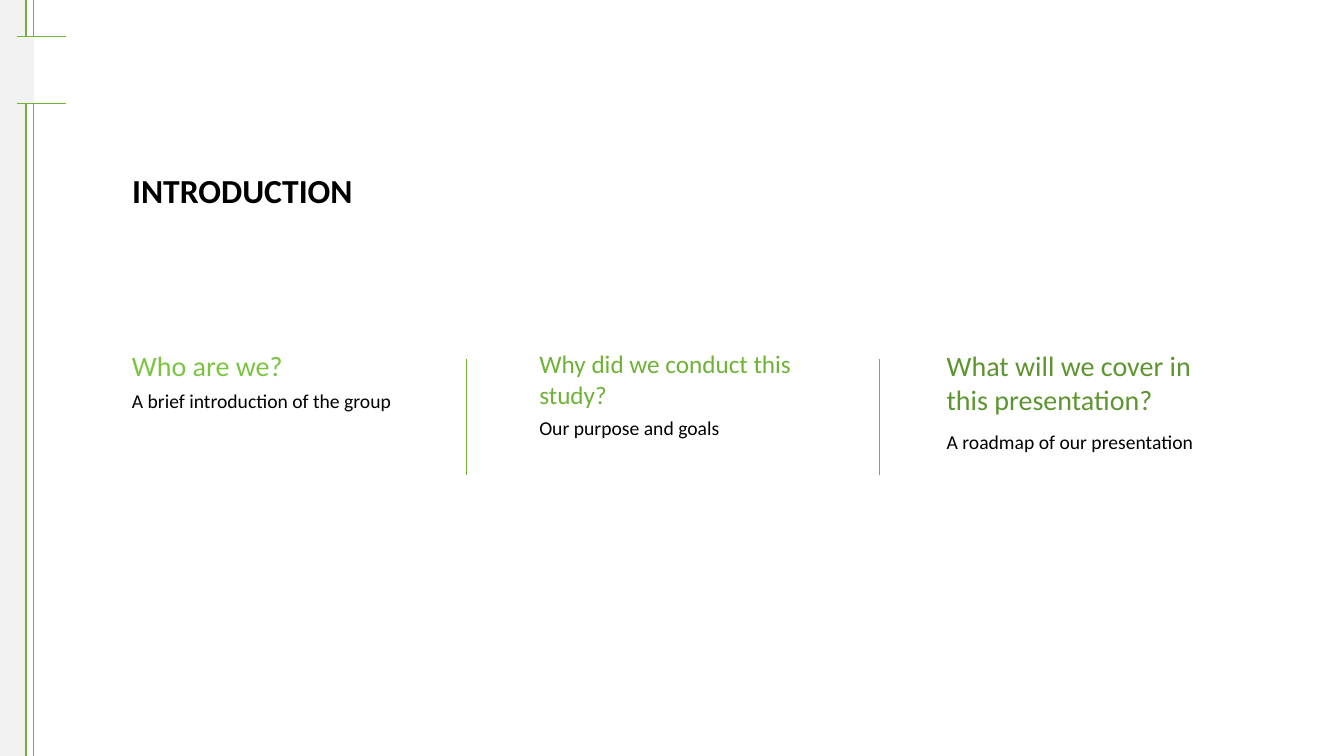
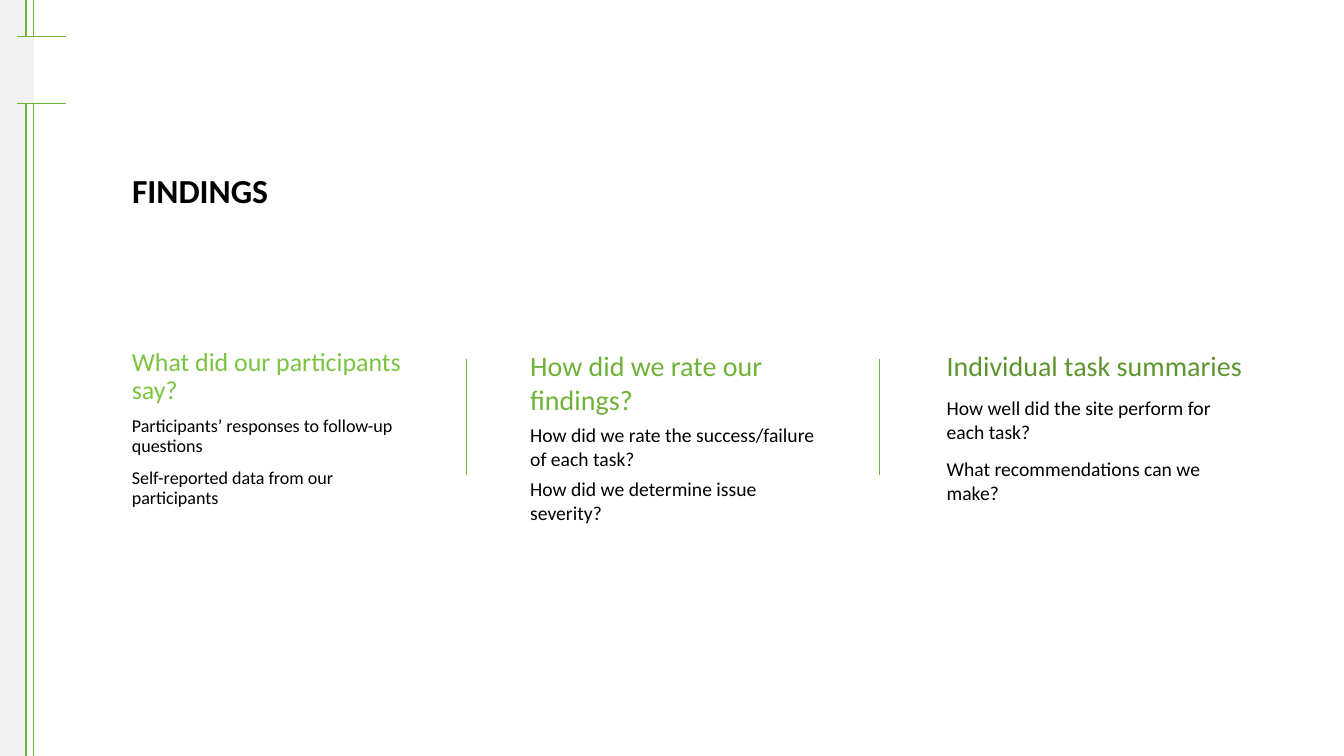
import pptx
import pptx.dml.color
import pptx.enum.shapes
import pptx.enum.text
import pptx.util
from lxml import etree

Inches = pptx.util.Inches
Pt = pptx.util.Pt
RGB = pptx.dml.color.RGBColor.from_string

FONT = "Calibri"
COLORS = {
    "band": "F2F2F2",
    "rule": "6FB238",
    "text": "000000",
    "headings": ["7BC441", "6FB238", "5D952F"],
}
BAND_BOTTOM, NOTCH_TOP, NOTCH_BOTTOM = 7.5, 0.36, 1.03

# Each column: left, width, height, heading size, body size,
# space before body, line spacing, heading, body lines
SLIDES = [
    ("INTRODUCTION", [
        (1.21, 3.01, 1.75, 20, 14, 5, 1, "Who are we?",
         ["A brief introduction of the group"]),
        (5.25, 3.01, 1.75, 18, 14, 5, 1, "Why did we conduct this study?",
         ["Our purpose and goals"]),
        (9.29, 3.01, 1.88, 20, 14, 10, 1, "What will we cover in this presentation?",
         ["A roadmap of our presentation"]),
    ]),
    ("FINDINGS", [
        (1.21, 3.01, 1.75, 18.5, 12.9, 9, 0.9, "What did our participants say?",
         ["Participants’ responses to follow-up questions",
          "Self-reported data from our participants"]),
        (5.16, 3.19, 1.75, 20, 14, 5, 1, "How did we rate our findings?",
         ["How did we rate the success/failure of each task?",
          "How did we determine issue severity?"]),
        (9.29, 3.22, 1.96, 20, 14, 10, 1, "Individual task summaries",
         ["How well did the site perform for each task?",
          "What recommendations can we make?"]),
    ]),
]


def add_band(slide, left, top, width, height):
    band = slide.shapes.add_shape(
        pptx.enum.shapes.MSO_SHAPE.RECTANGLE,
        Inches(left), Inches(top), Inches(width), Inches(height))
    band.shadow.inherit = False
    band.fill.solid()
    band.fill.fore_color.rgb = RGB(COLORS["band"])
    band.line.fill.background()


def add_rule(slide, x1, y1, x2, y2, weight):
    rule = slide.shapes.add_connector(
        pptx.enum.shapes.MSO_CONNECTOR.STRAIGHT,
        Inches(x1), Inches(y1), Inches(x2), Inches(y2))
    rule.line.color.rgb = RGB(COLORS["rule"])
    rule.line.width = Pt(weight)
    etree.SubElement(rule._element.spPr, pptx.oxml.ns.qn("a:effectLst"))


prs = pptx.Presentation()
prs.slide_width = Inches(13.33)
prs.slide_height = Inches(7.5)

for title_text, columns in SLIDES:
    slide = prs.slides.add_slide(prs.slide_layouts[5])

    # Side band with its notch
    add_band(slide, 0, 0, 0.26, BAND_BOTTOM)
    add_rule(slide, 0.26, 0, 0.26, BAND_BOTTOM, 1.5)
    add_band(slide, 0.23, NOTCH_TOP, 0.11, NOTCH_BOTTOM - NOTCH_TOP)
    for top, bottom in [(0, NOTCH_TOP), (NOTCH_BOTTOM, BAND_BOTTOM)]:
        add_rule(slide, 0.33, top, 0.33, bottom, 0.25)
    for y in (NOTCH_TOP, NOTCH_BOTTOM):
        add_rule(slide, 0.17, y, 0.65, y, 0.5)

    title = slide.shapes.title
    title.left, title.top = Inches(1.21), Inches(1.5)
    title.width, title.height = Inches(4.24), Inches(0.83)
    title.text_frame.text = title_text
    title.text_frame.auto_size = pptx.enum.text.MSO_AUTO_SIZE.NONE
    title.text_frame.vertical_anchor = pptx.enum.text.MSO_ANCHOR.MIDDLE
    heading = title.text_frame.paragraphs[0]
    heading.alignment = pptx.enum.text.PP_ALIGN.LEFT
    heading.line_spacing = 0.9
    heading.font.name = FONT
    heading.font.size = Pt(24)
    heading.font.bold = True
    heading.font.color.rgb = RGB(COLORS["text"])

    for column, heading_color in zip(columns, COLORS["headings"]):
        (left, width, height, heading_size, body_size,
         gap, spacing, question, answers) = column
        frame = slide.shapes.add_textbox(
            Inches(left), Inches(3.41), Inches(width), Inches(height)).text_frame
        frame.word_wrap = True
        frame.text = "\n".join([question] + answers)
        for i, paragraph in enumerate(frame.paragraphs):
            paragraph.line_spacing = spacing
            paragraph.space_before = Pt(gap if i else 0)
            paragraph.font.name = FONT
            paragraph.font.size = Pt(body_size if i else heading_size)
            paragraph.font.color.rgb = RGB(COLORS["text"] if i else heading_color)

    # Column dividers
    for x in (4.62, 8.72):
        add_rule(slide, x, 3.56, x, 4.71, 0.25)

prs.save("out.pptx")
